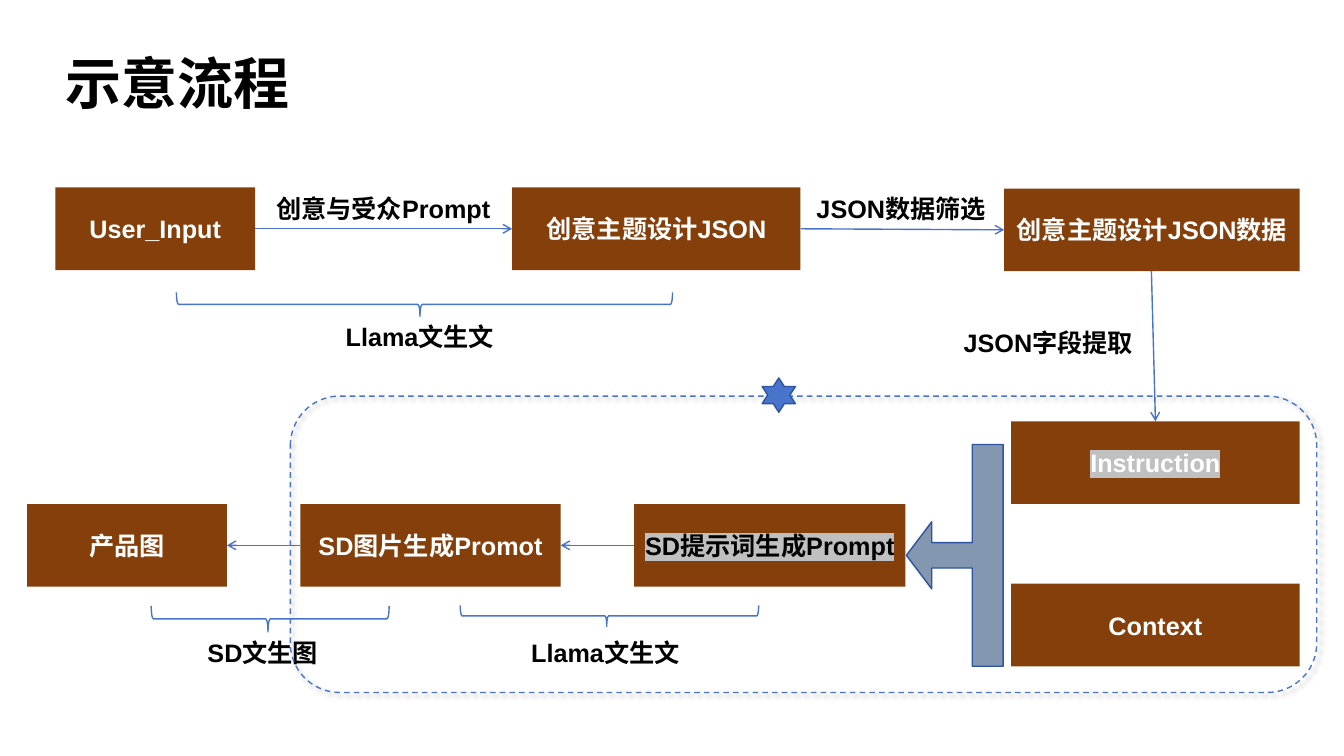
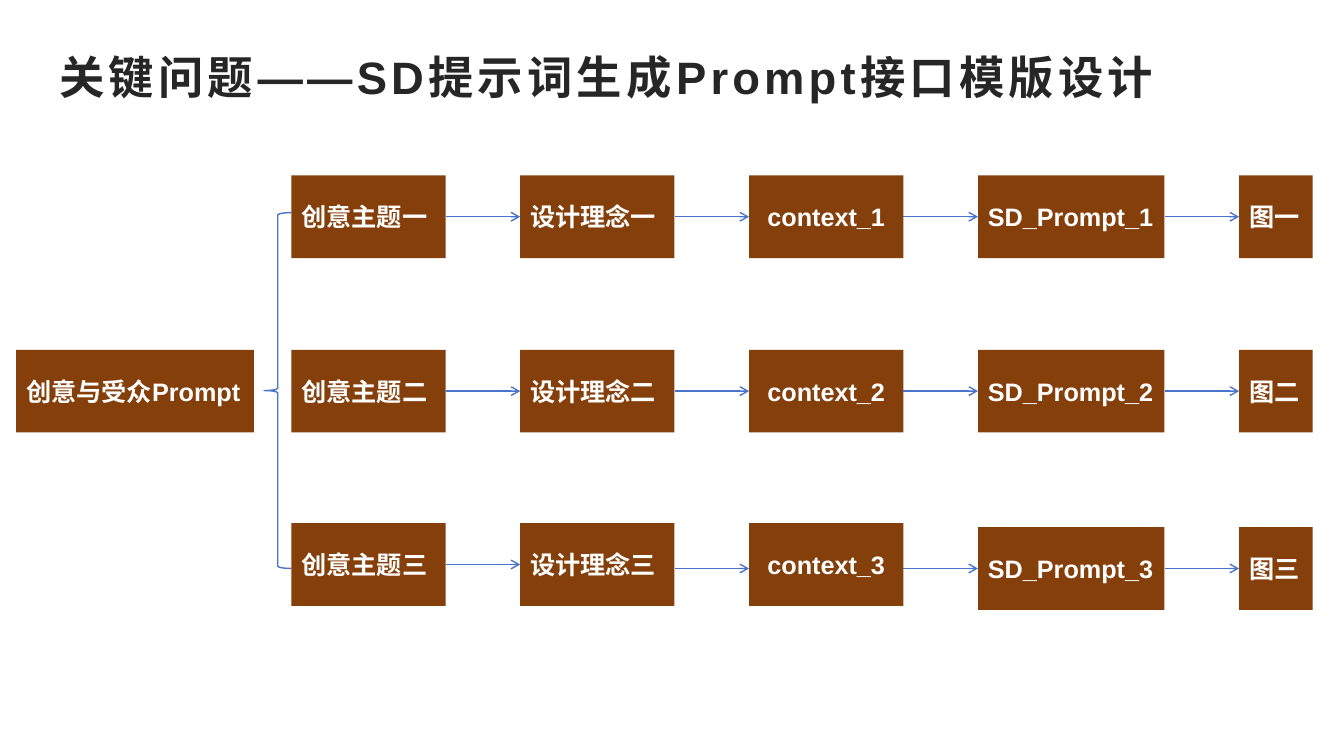
from lxml import etree
from pptx import Presentation
from pptx import util as u
from pptx.dml.color import RGBColor
from pptx.enum import dml, lang, shapes, text
from pptx.oxml import parse_xml
from pptx.oxml.ns import nsdecls, qn

BROWN, BLUE, NAVY, SLATE = "843F0B", "4874CB", "2E54A1", "8497B0"
WHITE, BLACK, CHARCOAL, SILVER = "FFFFFF", "000000", "262626", "C0C0C0"
FONT = "Arial"
BOX_HEIGHT = 0.82
KIND = shapes.MSO_SHAPE
CENTER, LEFT = text.PP_ALIGN.CENTER, text.PP_ALIGN.LEFT
MIDDLE, TOP = text.MSO_ANCHOR.MIDDLE, text.MSO_ANCHOR.TOP


def draw(page, kind, frame, words="", fill=None, line=None, size=18, color=BLACK,
         align=LEFT, anchor=TOP, highlight=None, spacing=None, adjust=(), turn=0):
    place = [u.Inches(value) for value in frame]
    if kind is None:
        box = page.shapes.add_textbox(*place)
    else:
        box = page.shapes.add_shape(kind, *place)
        box.shadow.inherit = False
        box.rotation = turn
        for index, value in enumerate(adjust):
            box.adjustments[index] = value
        if fill:
            box.fill.solid()
            box.fill.fore_color.rgb = RGBColor.from_string(fill)
        else:
            box.fill.background()
        if line:
            box.line.color.rgb = RGBColor.from_string(line)
            box.line.width = u.Pt(1)
        else:
            box.line.fill.background()
    if words:
        box.text_frame.word_wrap = True
        box.text_frame.vertical_anchor = anchor
        para = box.text_frame.paragraphs[0]
        para.alignment = align
        span = para.add_run()
        span.text = words
        font = span.font
        font.size, font.bold, font.name = u.Pt(size), True, FONT
        font.language_id = lang.MSO_LANGUAGE_ID.SIMPLIFIED_CHINESE
        font.color.rgb = RGBColor.from_string(color)
        props = span._r.get_or_add_rPr()
        latin = props.find(qn("a:latin"))
        latin.addnext(parse_xml(f'<a:ea {nsdecls("a")} typeface="{FONT}"/>'))
        if highlight:
            latin.addprevious(parse_xml(
                f'<a:highlight {nsdecls("a")}><a:srgbClr val="{highlight}"/></a:highlight>'))
        if spacing:
            props.set("spc", str(spacing * 100))
    return box


def arrow(page, *ends):
    link = page.shapes.add_connector(
        shapes.MSO_CONNECTOR.STRAIGHT, *[u.Inches(value) for value in ends])
    link.line.color.rgb = RGBColor.from_string(BLUE)
    link.line.width = u.Pt(1)
    etree.SubElement(link.line._get_or_add_ln(), qn("a:tailEnd"), type="arrow")
    etree.SubElement(link._element.spPr, qn("a:effectLst"))


deck = Presentation()
deck.slide_width, deck.slide_height = u.Inches(13.33), u.Inches(7.5)
blank = deck.slide_layouts[6]

page = deck.slides.add_slide(blank)
draw(page, None, (0.55, 0.43, 2.56, 0.76), "示意流程", size=40)

steps = [
    ("User_Input", 0.55, 1.86, 1.98, WHITE, None),
    ("创意主题设计JSON", 5.08, 1.86, 2.86, WHITE, None),
    ("创意主题设计JSON数据", 9.96, 1.87, 2.93, WHITE, None),
    ("Instruction", 10.03, 4.18, 2.86, WHITE, SILVER),
    ("Context", 10.03, 5.79, 2.86, WHITE, None),
    ("SD提示词生成Prompt", 6.29, 5, 2.69, BLACK, SILVER),
    ("SD图片生成Promot", 2.98, 5, 2.58, WHITE, None),
    ("产品图", 0.27, 5, 1.98, WHITE, None),
]
for words, left, top, width, color, highlight in steps:
    draw(page, KIND.RECTANGLE, (left, top, width, BOX_HEIGHT), words, fill=BROWN,
         color=color, align=CENTER, anchor=MIDDLE, highlight=highlight)

for ends in [(2.53, 2.27, 5.08, 2.27), (7.94, 2.27, 9.96, 2.28),
             (11.42, 2.69, 11.46, 4.18), (6.29, 5.41, 5.56, 5.41),
             (2.98, 5.41, 2.25, 5.41)]:
    arrow(page, *ends)

for frame in [(4.09, 0.56, 0.24, 4.92), (5.94, 4.63, 0.21, 2.96),
              (2.55, 4.96, 0.26, 2.36)]:
    draw(page, KIND.LEFT_BRACE, frame, line=BLUE, adjust=(0.083, 0.491), turn=270)

labels = [
    ("创意与受众Prompt", 2.64, 1.87, 2.34),
    ("JSON数据筛选", 8, 1.87, 1.96),
    ("JSON字段提取", 9.46, 3.2, 1.96),
    ("Llama文生文", 3.33, 3.14, 1.75),
    ("Llama文生文", 5.17, 6.27, 1.75),
    ("SD文生图", 1.96, 6.27, 1.37),
]
for words, left, top, width in labels:
    draw(page, None, (left, top, width, 0.4), words)

draw(page, KIND.LEFT_ARROW_CALLOUT, (8.99, 4.41, 0.96, 2.2), fill=SLATE, line=NAVY,
     adjust=(0.262, 0.347, 0.262, 0.319))

region = draw(page, KIND.ROUNDED_RECTANGLE, (2.88, 3.93, 10.18, 2.94), line=BLUE)
region.line.dash_style = dml.MSO_LINE.DASH
region._element.spPr.find(qn("a:effectLst")).append(parse_xml(
    f'<a:outerShdw {nsdecls("a")} blurRad="{u.Pt(4)}" dist="{u.Pt(3)}" dir="2700000"'
    ' algn="tl" rotWithShape="0"><a:srgbClr val="000000"><a:alpha val="40000"/>'
    '</a:srgbClr></a:outerShdw>'))
draw(page, KIND.STAR_6_POINT, (7.56, 3.75, 0.33, 0.34), fill=BLUE, line=NAVY)

page = deck.slides.add_slide(blank)
draw(page, None, (0.49, 0.37, 11.63, 0.77), "关键问题——SD提示词生成Prompt接口模版设计",
     size=32.4, color=CHARCOAL, anchor=MIDDLE, spacing=3)
draw(page, KIND.RECTANGLE, (0.16, 3.47, 2.36, BOX_HEIGHT), "创意与受众Prompt",
     fill=BROWN, color=WHITE, anchor=MIDDLE)
draw(page, KIND.LEFT_BRACE, (2.62, 2.11, 0.27, 3.53), line=BLUE)

GAP = 0.74
columns = [
    ("创意主题", "一二三", 1.53, LEFT, 5.19, 5.6),
    ("设计理念", "一二三", 1.53, LEFT, 5.19, 5.64),
    ("context_", "123", 1.53, CENTER, 5.19, 5.64),
    ("SD_Prompt_", "123", 1.85, LEFT, 5.23, 5.64),
    ("图", "一二三", 0.73, LEFT, 5.23, None),
]
left = 2.89
for name, numbers, width, align, last_top, last_arrow in columns:
    right = left + width
    for number, top in zip(numbers, (1.74, 3.47, last_top)):
        draw(page, KIND.RECTANGLE, (left, top, width, BOX_HEIGHT), name + number,
             fill=BROWN, color=WHITE, align=align, anchor=MIDDLE)
    if last_arrow:
        for level in (2.15, 3.88, last_arrow):
            arrow(page, right, level, right + GAP, level)
    left = right + GAP

deck.save("out.pptx")
